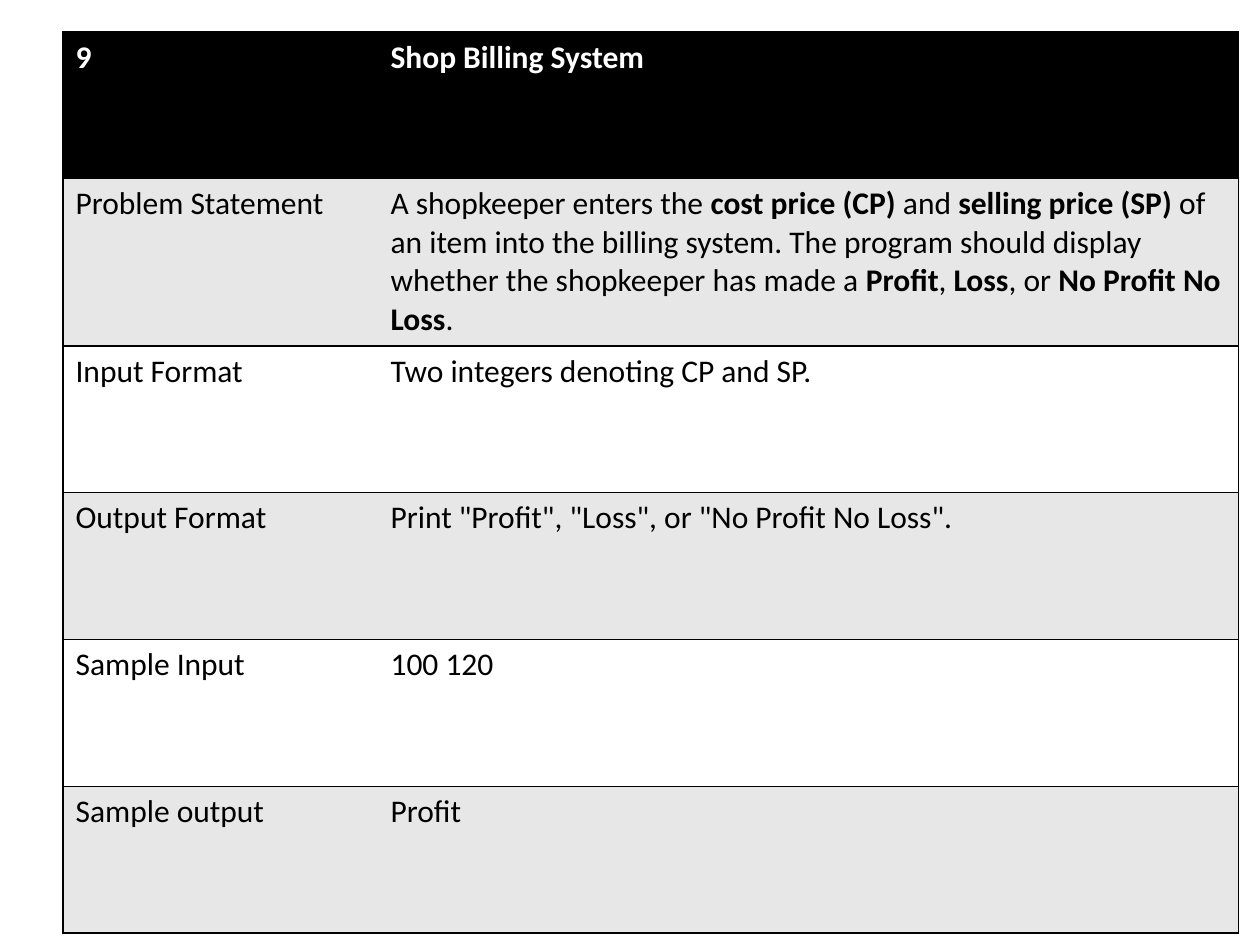
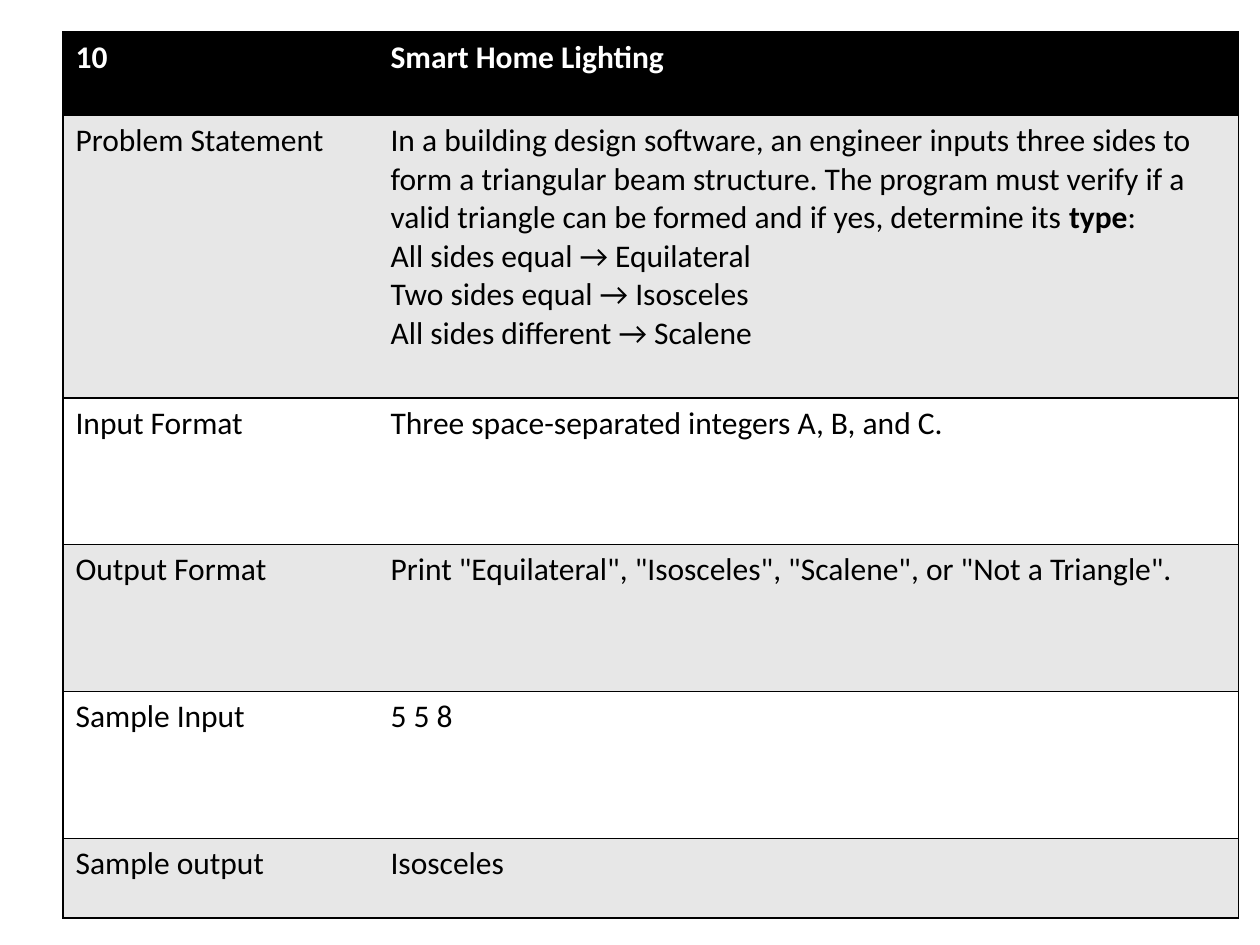
from dataclasses import dataclass

from lxml import etree
from pptx import Presentation
from pptx.dml.color import RGBColor
from pptx.oxml.ns import qn
from pptx.util import Cm, Pt

BLANK_LAYOUT = 6
BOLD_MARK = "**"


@dataclass(frozen=True)
class Theme:
    font: str = "Calibri"
    text_size: int = 18
    border_width: int = 1
    border: str = "000000"
    header_fill: str = "000000"
    header_text: str = "FFFFFF"
    body_text: str = "000000"
    odd_fill: str = "E7E7E7"
    even_fill: str = "FFFFFF"


THEME = Theme()
TABLE_LEFT, TABLE_TOP = 1.27, 0.64
COLUMN_WIDTHS = [6.35, 17.35]
ROW_HEIGHT = 2.96
ROW_LABELS = ["Problem Statement", "Input Format", "Output Format",
              "Sample Input", "Sample output"]

PROBLEMS = [
    {
        "number": "9",
        "title": "Shop Billing System",
        "answers": [
            "A shopkeeper enters the **cost price (CP)** and **selling price (SP)** "
            "of an item into the billing system. The program should display whether "
            "the shopkeeper has made a **Profit**, **Loss**, or **No Profit No Loss**.",
            "Two integers denoting CP and SP.",
            'Print "Profit", "Loss", or "No Profit No Loss".',
            "100 120",
            "Profit",
        ],
        "heights": [ROW_HEIGHT, 3.37] + [ROW_HEIGHT] * 4,
    },
    {
        "number": "10",
        "title": "Smart Home Lighting",
        "answers": [
            "In a building design software, an engineer inputs three sides to form "
            "a triangular beam structure. The program must verify if a valid triangle "
            "can be formed and if yes, determine its **type**:\n"
            "All sides equal → Equilateral\n"
            "Two sides equal → Isosceles\n"
            "All sides different → Scalene",
            "Three space-separated integers A, B, and C.",
            'Print "Equilateral", "Isosceles", "Scalene", or "Not a Triangle".',
            "5 5 8",
            "Isosceles",
        ],
        "heights": [1.69, 5.69] + [ROW_HEIGHT] * 3 + [1.61],
    },
]


def set_borders(cell, visible_sides):
    properties = cell._tc.get_or_add_tcPr()
    for side in "LRTB":
        line = etree.SubElement(properties, qn(f"a:ln{side}"),
                                w=str(Pt(THEME.border_width)))
        if side in visible_sides:
            fill = etree.SubElement(line, qn("a:solidFill"))
            etree.SubElement(fill, qn("a:srgbClr"), val=THEME.border)
        else:
            etree.SubElement(line, qn("a:noFill"))


def write_text(cell, text, color, bold):
    text_frame = cell.text_frame
    for index, line in enumerate(text.split("\n")):
        paragraph = text_frame.add_paragraph() if index else text_frame.paragraphs[0]
        for position, part in enumerate(line.split(BOLD_MARK)):
            run = paragraph.add_run()
            run.text = part
            run.font.name = THEME.font
            run.font.size = Pt(THEME.text_size)
            run.font.bold = bold or position % 2 == 1
            run.font.color.rgb = RGBColor.from_string(color)


def row_colors(row_index):
    if row_index == 0:
        return THEME.header_fill, THEME.header_text
    return (THEME.odd_fill if row_index % 2 else THEME.even_fill), THEME.body_text


def add_problem_table(slide, problem):
    rows = [(problem["number"], problem["title"]),
            *zip(ROW_LABELS, problem["answers"])]
    heights = problem["heights"]
    table = slide.shapes.add_table(
        len(rows), len(COLUMN_WIDTHS), Cm(TABLE_LEFT), Cm(TABLE_TOP),
        Cm(sum(COLUMN_WIDTHS)), Cm(sum(heights))).table
    for column, width in zip(table.columns, COLUMN_WIDTHS):
        column.width = Cm(width)
    for row_index, (texts, height) in enumerate(zip(rows, heights)):
        table.rows[row_index].height = Cm(height)
        fill_color, text_color = row_colors(row_index)
        for column_index, text in enumerate(texts):
            cell = table.cell(row_index, column_index)
            set_borders(cell, "RTB" if column_index else "LTB")
            cell.fill.solid()
            cell.fill.fore_color.rgb = RGBColor.from_string(fill_color)
            write_text(cell, text, text_color, bold=row_index == 0)


def main():
    presentation = Presentation()
    presentation.slide_width = Cm(25.4)
    presentation.slide_height = Cm(19.05)
    for problem in PROBLEMS:
        slide = presentation.slides.add_slide(presentation.slide_layouts[BLANK_LAYOUT])
        add_problem_table(slide, problem)
    presentation.save("out.pptx")


if __name__ == "__main__":
    main()
